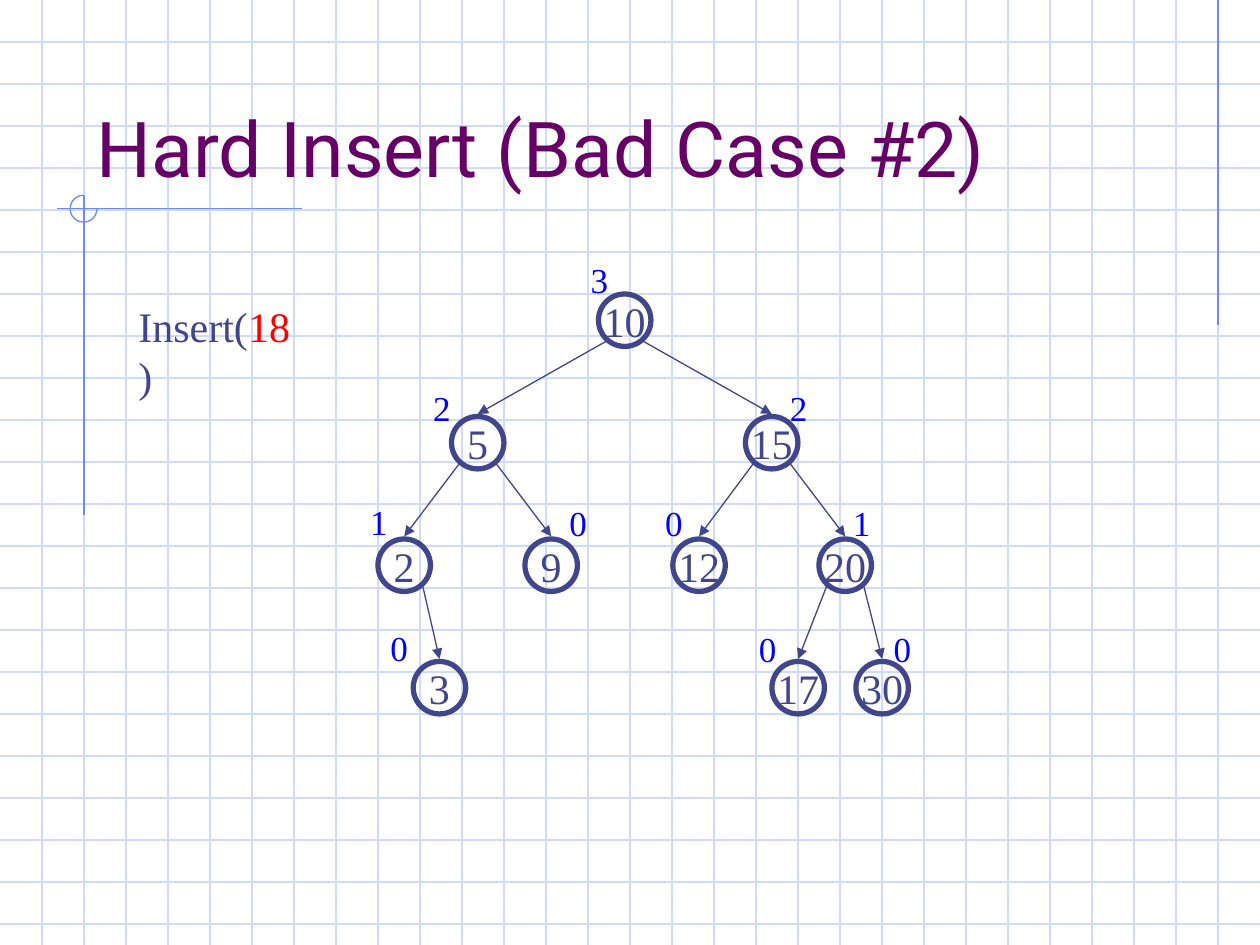
from dataclasses import dataclass
from math import sqrt
from typing import Any, Optional

from pptx import Presentation
from pptx.dml.color import RGBColor
from pptx.enum.shapes import MSO_CONNECTOR, MSO_SHAPE
from pptx.enum.text import MSO_ANCHOR, MSO_AUTO_SIZE, PP_ALIGN
from pptx.oxml.ns import qn
from pptx.util import Emu, Inches, Pt

CELL = Inches(1) / 3
COLUMNS, ROWS = 30, 22.5
DIAMETER = 1.25
LEVEL_TOP, LEVEL_PITCH = 7, 35 / 12
EDGE_GAP = 0.06
BADGE_WIDTH, BADGE_HEIGHT = 1.02, 1.32

INK, GRID, ACCENT = "40458C", "CFDBFD", "6F89F7"
PURPLE, RED, BLUE = "660066", "FF0000", "0000FF"
TITLE_FONT, BODY_FONT = "Roboto", "Times New Roman"


@dataclass(frozen=True)
class Node:
    key: str
    level: int
    column: float
    height: str
    badge_column: float
    badge_row: float
    parent: Optional[str] = None
    badge_align: PP_ALIGN = PP_ALIGN.LEFT

    @property
    def row(self) -> float:
        return LEVEL_TOP + self.level * LEVEL_PITCH

    @property
    def center(self) -> float:
        return self.column + DIAMETER / 2


@dataclass(frozen=True)
class Piece:
    text: str
    color: str


TREE = [
    Node("10", 0, 14.25, "3", 13.77, 6),
    Node("5", 1, 10.75, "2", 10.02, 9.06, "10"),
    Node("15", 1, 17.75, "2", 18.51, 9.06, "10"),
    Node("2", 2, 9, "1", 8.52, 11.76, "5"),
    Node("9", 2, 12.5, "0", 13.26, 11.79, "5"),
    Node("12", 2, 16.02, "0", 15.54, 11.79, "15"),
    Node("20", 2, 19.5, "1", 20.01, 11.79, "15"),
    Node("3", 3, 9.84, "0", 9, 14.76, "2"),
    Node("17", 3, 18.38, "0", 17.76, 14.79, "20", PP_ALIGN.RIGHT),
    Node("30", 3, 20.38, "0", 20.97, 14.79, "20", PP_ALIGN.RIGHT),
]


def cells(count: float) -> Emu:
    return Emu(round(count * CELL))


def rgb(value: str) -> RGBColor:
    return RGBColor.from_string(value)


def apply(target: Any, values: dict) -> None:
    for name, value in values.items():
        setattr(target, name, value)


def write(shape: Any, pieces: list[Piece], size: float, font: str,
          align: PP_ALIGN = PP_ALIGN.LEFT, **frame_format: Any) -> None:
    frame = shape.text_frame
    insets = {"margin_left": Inches(0.1), "margin_right": Inches(0.1),
              "margin_top": Inches(0.05), "margin_bottom": Inches(0.05)}
    apply(frame, {"word_wrap": False, **insets, **frame_format})
    paragraph = frame.paragraphs[0]
    paragraph.alignment = align
    for piece in pieces:
        run = paragraph.add_run()
        run.text = piece.text
        apply(run.font, {"size": Pt(size), "name": font})
        run.font.color.rgb = rgb(piece.color)


def draw_text(slide: Any, box: tuple, pieces: list[Piece], size: float,
              font: str = BODY_FONT, **text_format: Any) -> None:
    label = slide.shapes.add_textbox(*map(cells, box))
    write(label, pieces, size, font, **text_format)


def draw_line(slide: Any, start: tuple, end: tuple, color: str,
              arrow: bool = False) -> None:
    line = slide.shapes.add_connector(
        MSO_CONNECTOR.STRAIGHT, *map(cells, (*start, *end)))
    line.line.color.rgb = rgb(color)
    line.line.width = Pt(0.75)
    properties = line._element.spPr
    if arrow:
        outline = line.line._get_or_add_ln()
        head = outline.makeelement(qn("a:tailEnd"), {"type": "triangle"})
        outline.append(head)
    properties.append(properties.makeelement(qn("a:effectLst"), {}))


def draw_outline(slide: Any, preset: MSO_SHAPE, box: tuple, color: str,
                 width: float) -> Any:
    outline = slide.shapes.add_shape(preset, *map(cells, box))
    outline.shadow.inherit = False
    outline.fill.background()
    outline.line.color.rgb = rgb(color)
    outline.line.width = Pt(width)
    return outline


def draw_backdrop(slide: Any) -> None:
    for row in range(1, int(ROWS) + 1):
        draw_line(slide, (0, row), (COLUMNS, row), GRID)
    for column in range(1, COLUMNS):
        draw_line(slide, (column, 0), (column, ROWS), GRID)
    draw_line(slide, (29, 0), (29, 7.75), ACCENT)
    draw_line(slide, (7.2, 4.97), (1.36, 4.97), ACCENT)
    draw_line(slide, (2, 4.65), (2, 12.27), ACCENT)
    corner = draw_outline(slide, MSO_SHAPE.ARC, (1.67, 4.65, 0.64, 0.64),
                          ACCENT, 0.75)
    corner.adjustments[0] = 0
    corner.adjustments[1] = 162


def draw_node(slide: Any, node: Node) -> None:
    circle = draw_outline(slide, MSO_SHAPE.OVAL,
                          (node.column, node.row, DIAMETER, DIAMETER), INK, 3)
    write(circle, [Piece(node.key, INK)], 24, BODY_FONT, PP_ALIGN.CENTER,
          vertical_anchor=MSO_ANCHOR.MIDDLE)


def draw_edge(slide: Any, parent: Node, child: Node) -> None:
    reach = DIAMETER / 2 / sqrt(2)
    side = -1 if child.center < parent.center else 1
    start = (parent.center + side * reach,
             parent.row + DIAMETER / 2 + reach + EDGE_GAP)
    draw_line(slide, start, (child.center, child.row - EDGE_GAP), INK, True)


def draw_badge(slide: Any, node: Node) -> None:
    box = (node.badge_column, node.badge_row, BADGE_WIDTH, BADGE_HEIGHT)
    draw_text(slide, box, [Piece(node.height, BLUE)], 20,
              align=node.badge_align,
              auto_size=MSO_AUTO_SIZE.SHAPE_TO_FIT_TEXT)


def main() -> None:
    deck = Presentation()
    apply(deck, {"slide_width": cells(COLUMNS), "slide_height": cells(ROWS)})
    slide = deck.slides.add_slide(deck.slide_layouts[6])

    draw_backdrop(slide)
    draw_text(slide, (2, 1, 25.5, 3.75),
              [Piece("Hard Insert (Bad Case #2)", PURPLE)], 44, TITLE_FONT,
              word_wrap=True, vertical_anchor=MSO_ANCHOR.BOTTOM)
    draw_text(slide, (3, 7, 4.53, 1.5),
              [Piece("Insert(", INK), Piece("18", RED), Piece(")", INK)], 24,
              auto_size=MSO_AUTO_SIZE.SHAPE_TO_FIT_TEXT)

    by_key = {node.key: node for node in TREE}
    for node in TREE:
        draw_node(slide, node)
    for node in TREE:
        if node.parent:
            draw_edge(slide, by_key[node.parent], node)
    for node in TREE:
        draw_badge(slide, node)

    deck.save("out.pptx")


if __name__ == "__main__":
    main()
